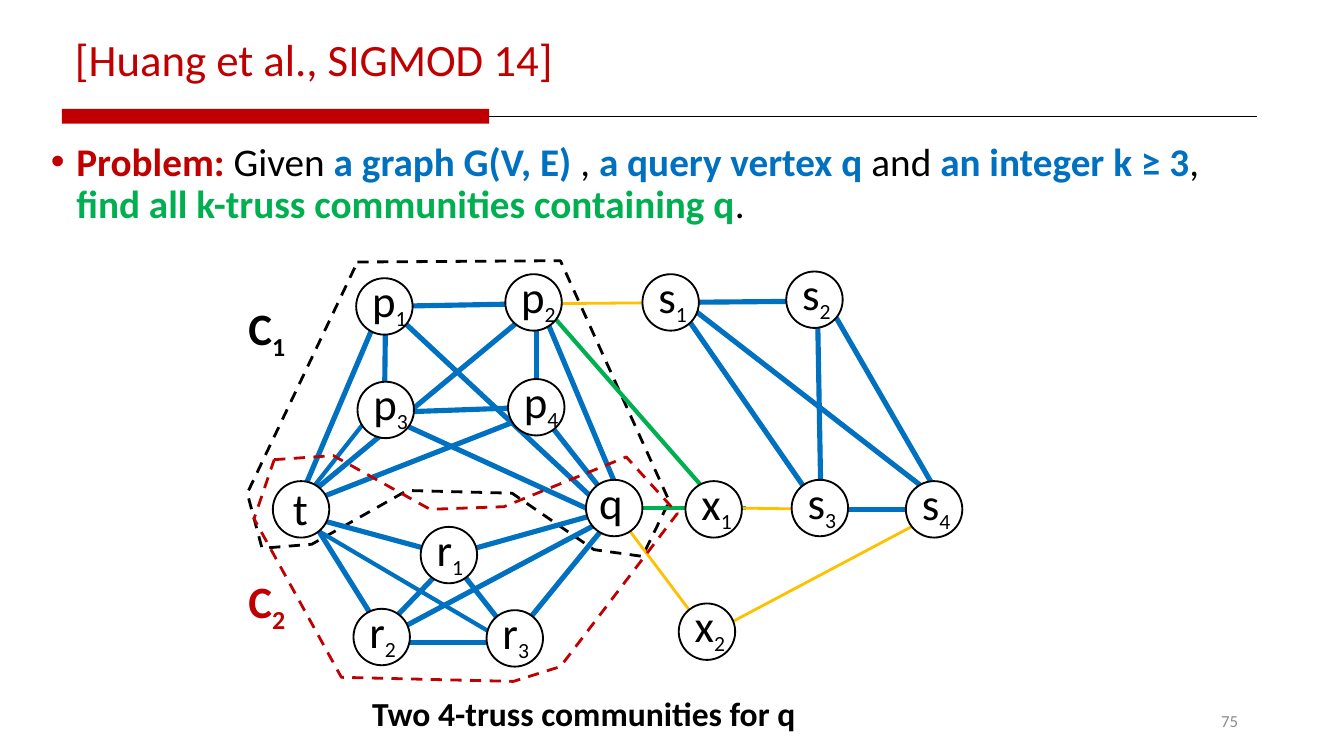
from dataclasses import dataclass

from lxml import etree
from pptx import Presentation
from pptx.dml.color import RGBColor
from pptx.enum.dml import MSO_LINE
from pptx.enum.shapes import MSO_CONNECTOR, MSO_SHAPE
from pptx.enum.text import MSO_ANCHOR, PP_ALIGN
from pptx.oxml.ns import qn
from pptx.util import Inches, Pt

STRAIGHT = MSO_CONNECTOR.STRAIGHT
RECT, OVAL = MSO_SHAPE.RECTANGLE, MSO_SHAPE.OVAL
DASH = MSO_LINE.DASH
TOP, MIDDLE = MSO_ANCHOR.TOP, MSO_ANCHOR.MIDDLE
LEFT, RIGHT = PP_ALIGN.LEFT, PP_ALIGN.RIGHT


@dataclass(frozen=True)
class Theme:
    face: str = "Calibri"
    black: str = "000000"
    white: str = "FFFFFF"
    red: str = "C00000"
    blue: str = "0070C0"
    green: str = "00B050"
    gold: str = "FFC000"
    gray: str = "8C8C8C"
    head: int = 24
    body: int = 21
    note: int = 18
    sub: int = 20
    page: int = 9


class Painter:
    def __init__(self, slide, theme):
        self.slide, self.theme = slide, theme

    def color(self, code):
        return RGBColor.from_string(code)

    def font(self, font, size, color, bold=False):
        font.name, font.size, font.bold = self.theme.face, Pt(size), bold
        font.color.rgb = self.color(color)

    def stroke(self, shape, color, width):
        shape.line.color.rgb = self.color(color)
        shape.line.width = Pt(width)

    def text(self, box, words, size, color, bold=False, align=LEFT,
             anchor=TOP, wrap=True, home=None):
        shapes = home or self.slide.shapes
        frame = shapes.add_textbox(*map(Inches, box)).text_frame
        frame.word_wrap, frame.vertical_anchor = wrap, anchor
        para = frame.paragraphs[0]
        para.alignment = align
        self.font(para.font, size, color, bold)
        if words:
            para.add_run().text = words
        return para

    def lower(self, para, digit, drop, size=None):
        run = para.add_run()
        run.text = digit
        if size:
            run.font.size = Pt(size)
        run.font._element.set("baseline", str(-1000 * drop))

    def rich(self, box, runs, size):
        para = self.text(box, "", size, self.theme.black)
        props = para._p.get_or_add_pPr()
        props.set("marL", str(Inches(0.19)))
        props.set("indent", str(-Inches(0.19)))
        props.insert(0, etree.Element(qn("a:buFont"), typeface="Arial"))
        props.insert(1, etree.Element(qn("a:buChar"), char="•"))
        para.line_spacing = 0.9
        for words, color in runs:
            run = para.add_run()
            run.text = words
            run.font.bold = color != self.theme.black
            run.font.color.rgb = self.color(color)

    def line(self, ends, color, width):
        link = self.slide.shapes.add_connector(STRAIGHT, *map(Inches, ends))
        self.stroke(link, color, width)
        etree.SubElement(link._element.spPr, qn("a:effectLst"))
        return link

    def bar(self, box, color):
        shape = self.slide.shapes.add_shape(RECT, *map(Inches, box))
        shape.shadow.inherit = False
        shape.fill.solid()
        shape.fill.fore_color.rgb = self.color(color)
        shape.line.fill.background()
        return shape

    def region(self, points, color):
        spots = [(Inches(x), Inches(y)) for x, y in points]
        pen = self.slide.shapes.build_freeform(*spots[0])
        pen.add_line_segments(spots[1:], close=True)
        shape = pen.convert_to_shape()
        shape.shadow.inherit = False
        shape.fill.background()
        self.stroke(shape, color, 1.5)
        shape.line.dash_style = DASH

    def node(self, name, x, y, shift, wide):
        look = self.theme
        shapes = self.slide.shapes.add_group_shape().shapes
        disc = shapes.add_shape(OVAL, *map(Inches, (x, y, 0.42, 0.42)))
        disc.shadow.inherit = False
        disc.fill.solid()
        disc.fill.fore_color.rgb = self.color(look.white)
        self.stroke(disc, look.black, 1)
        dx, dy = shift
        box = (x + dx, y + dy, wide, 0.5)
        para = self.text(box, name[0], look.head, look.black, home=shapes)
        if name[1:]:
            self.lower(para, name[1:], 24, look.sub)


def main():
    deck = Presentation()
    deck.slide_width = Inches(10)
    deck.slide_height = deck.slide_width * 9 // 16
    look = Theme()
    art = Painter(deck.slides.add_slide(deck.slide_layouts[6]), look)

    # Header, rule and page number
    art.text((7.06, 5.21, 2.25, 0.3), "75", look.page, look.gray,
             align=RIGHT, anchor=MIDDLE)
    title = art.text((0.46, -0.01, 9.54, 0.94), "[Huang et al., SIGMOD 14]",
                     look.head, look.red, anchor=MIDDLE)
    title.line_spacing = 0.9
    rule = art.line((0.46, 0.87, 9.35, 0.87), look.black, 0.5)
    bar = art.bar((0.46, 0.81, 3.18, 0.11), look.red)
    rule.begin_connect(bar, 1)
    rule.end_y = rule.begin_y

    # Problem statement
    art.rich((0.28, 1.01, 9, 1.31), [
        ("Problem: ", look.red), ("Given ", look.black),
        ("a graph G(V, E) ", look.blue), (", ", look.black),
        ("a query vertex q ", look.blue), ("and ", look.black),
        ("an integer k ≥ 3", look.blue), (", ", look.black),
        ("ﬁnd all k-truss communities containing q", look.green),
        (".", look.black)], look.body)

    # First community outline, behind the graph
    art.region([(2.66, 1.95), (4.17, 1.94), (4.98, 3.73), (4.78, 4.14),
                (4.42, 4.09), (3.81, 3.67), (3.03, 3.65), (2.32, 4.05),
                (1.95, 4.08), (1.84, 3.67)], look.black)

    # Edges by color and weight
    edges = [
        (look.green, 2.25, [
            (4.51, 3.78, 5.55, 3.78), (4.06, 2.29, 5.32, 3.73)]),
        (look.gold, 1.5, [
            (4.04, 2.26, 5.21, 2.25), (5.46, 3.78, 6.15, 3.79),
            (4.58, 3.81, 5.25, 4.7), (5.31, 4.7, 6.95, 3.83)]),
        (look.blue, 2.25, [
            (2.24, 3.74, 2.84, 2.98), (2.08, 3.78, 3.64, 4.7)]),
        (look.blue, 2.75, [
            (2.24, 3.74, 2.84, 4.7), (2.9, 4.78, 3.79, 4.78),
            (2.84, 4.7, 3.34, 4.18), (3.34, 4.14, 3.82, 4.75),
            (2.24, 3.83, 3.16, 4.08), (3.39, 4.12, 4.57, 3.79),
            (2.92, 4.71, 4.57, 3.83), (3.82, 4.75, 4.57, 3.83),
            (2.24, 3.69, 2.84, 2.28), (2.29, 3.69, 3.98, 2.29),
            (2.29, 3.74, 3.95, 3.09), (2.86, 2.28, 3.97, 2.26),
            (2.87, 3.07, 3.98, 3.03), (5.04, 2.25, 6.2, 2.24),
            (5.96, 3.79, 7.01, 3.79), (2.87, 2.26, 2.86, 3.09),
            (3.99, 2.32, 3.99, 3.15), (4.99, 2.19, 6.09, 3.78),
            (6.15, 2.24, 7.01, 3.73), (5.04, 2.21, 6.95, 3.69),
            (6.08, 2.15, 6.11, 3.82), (2.89, 2.29, 4.51, 3.8),
            (4.04, 2.32, 4.62, 3.7), (4.03, 3.08, 4.51, 3.69),
            (2.94, 3.13, 4.36, 3.78)]),
    ]
    for color, width, links in edges:
        for ends in links:
            art.line(ends, color, width)

    # Vertices
    shifts = {"t": (0.05, -0.05), "q": (0, -0.09)}
    widths = {"t": 0.42, "q": 0.42, "p": 0.54}
    nodes = {
        "t": (2.03, 3.58), "q": (4.36, 3.57),
        "s2": (5.85, 2.02), "s3": (5.89, 3.57),
        "s1": (4.78, 2.04), "s4": (6.74, 3.58),
        "x2": (5.05, 4.49), "x1": (5.1, 3.58),
        "p1": (2.65, 2.07), "p3": (2.66, 2.84),
        "p2": (3.76, 2.04), "p4": (3.78, 2.82),
        "r2": (2.63, 4.53), "r1": (3.13, 3.92), "r3": (3.62, 4.54),
    }
    for name, (x, y) in nodes.items():
        art.node(name, x, y, shifts.get(name, (0.02, -0.09)),
                 widths.get(name[0], 0.48))

    # Community labels and caption
    for digit, y, color in (("1", 2.19, look.black), ("2", 4.22, look.red)):
        label = art.text((1.75, y, 0.49, 0.5), "C", look.head, color,
                         bold=True, wrap=False)
        art.lower(label, digit, 25)
    art.text((2.67, 5.11, 3.38, 0.4), "Two 4-truss communities for q",
             look.note, look.black, bold=True, wrap=False)

    # Second community outline, over the graph
    art.region([(2.04, 3.42), (2.48, 3.39), (3.2, 3.79), (3.75, 3.77),
                (4.66, 3.4), (5.04, 3.82), (4.17, 4.96), (3.82, 5.07),
                (2.54, 5.04), (1.89, 3.86)], look.red)

    deck.save("out.pptx")


if __name__ == "__main__":
    main()
